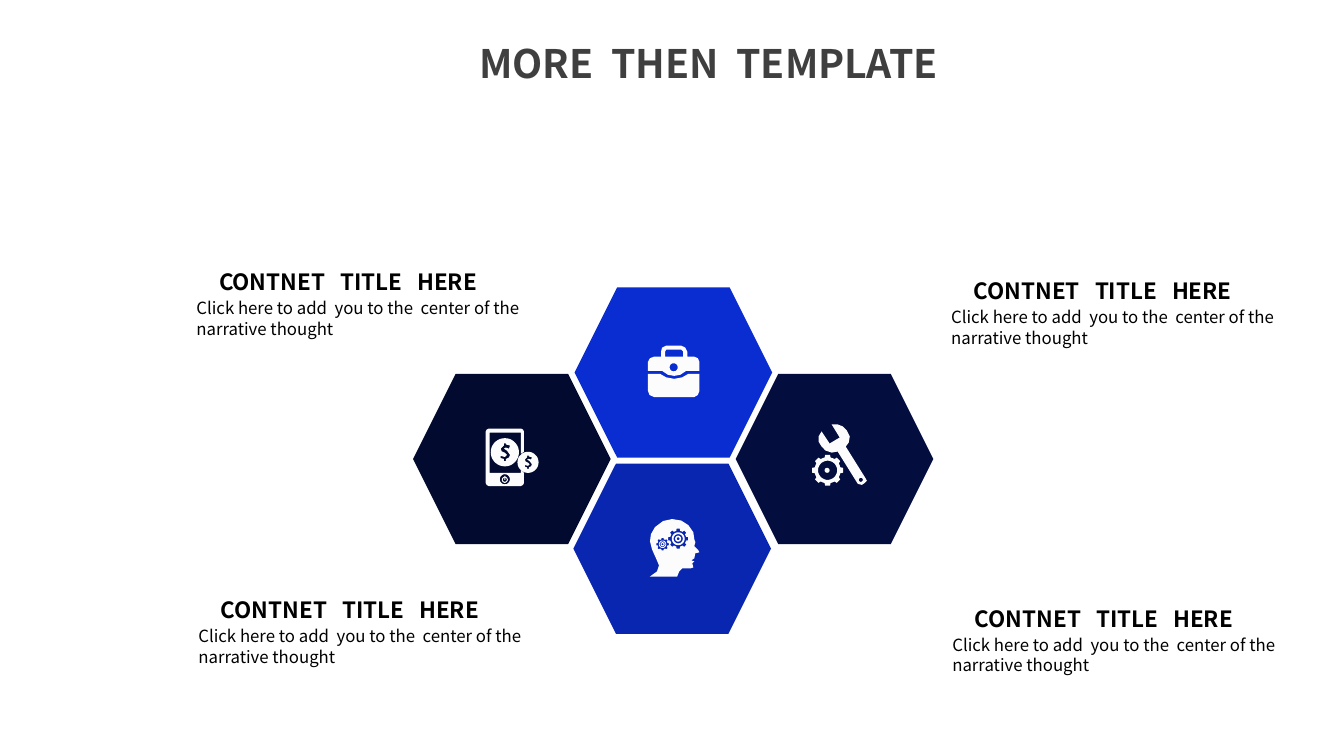
from math import cos, pi, sin

from pptx import Presentation
from pptx.dml.color import RGBColor
from pptx.enum.shapes import MSO_SHAPE
from pptx.util import Cm, Pt

HEXAGON, OVAL, RECT = MSO_SHAPE.HEXAGON, MSO_SHAPE.OVAL, MSO_SHAPE.RECTANGLE

THEME = {
    "font": "Noto Sans CJK SC",
    "title": "3F3F3F", "text": "000000", "icon": "FCFCFC",
    "title_size": 28, "head_size": 16, "body_size": 12,
}

TITLE = "MORE THEN TEMPLATE"
HEAD = "CONTNET TITLE HERE"
BODY = ["Click here to add  you to the  center of the", "narrative thought"]
NOTES = [(4.7, 6.35), (4.75, 14.61), (23.72, 6.58), (23.75, 14.83)]

# left, top, fill
CELLS = [
    (14.48, 7.24, "0A2DD2"),
    (18.54, 9.42, "030D3E"),
    (14.45, 11.68, "0926B1"),
    (10.41, 9.42, "020A2F"),
]

# Icon outlines use a fine grid whose step is UNIT centimetres.
UNIT = 0.0254
WRENCH = [
    (54, 55), (34, 23), (37, 19), (38, 13), (35, 7), (31, 3), (26, 1),
    (20, 1), (28, 14), (18, 20), (10, 8), (7, 13), (7, 18), (10, 23),
    (14, 27), (20, 29), (26, 28), (46, 60), (50, 61), (53, 59), (55, 57),
]
FACE = [
    (48, 31), (44, 27), (45, 23), (44, 20), (43, 13), (38, 6), (31, 1.5),
    (22, 0), (13, 2), (5, 8), (1, 15), (0, 22), (2, 30), (6, 39), (9, 46),
    (7, 52), (0, 57), (27, 57), (29, 52), (32, 49), (40, 49), (43, 48),
    (42, 44), (44, 42), (41, 41), (44, 39), (45, 34), (49, 33),
]
POUCH = [
    (0, 28), (12, 28), (18, 31.5), (26, 33), (34, 31.5), (40, 28), (51, 28),
    (51, 45), (49.5, 49), (46, 51), (6, 51), (1.5, 49), (0, 45),
]
FLAP = [
    (46, 11), (39, 11), (39, 6), (37, 2), (33, 0), (18, 0), (14, 2), (13, 6),
    (13, 11), (6, 11), (2, 12.5), (0, 16), (0, 25), (14, 25), (20, 29),
    (26, 30), (32, 29), (38, 25), (51, 25), (51, 16), (49.5, 12.5),
]
GRIP = [(17, 11), (17, 6), (18, 4), (33, 4), (35, 6), (35, 11)]
PHONE = [
    (35, 44), (4, 44), (4, 4), (35, 4), (35, 25), (38, 23), (38, 3), (37, 1),
    (35, 0), (3, 0), (1, 1), (0, 3), (0, 54), (1, 56), (3, 57), (35, 57),
    (37, 56), (38, 54), (38, 44), (35, 41),
]
DOLLAR = [
    (1, 6.5), (1, 8.5), (-1, 8.5), (-1, 6.5), (-4, 5.5), (-4, 3.5), (0, 4.5),
    (2, 2.5), (0, 0.5), (-3, -1), (-4, -3.5), (-1, -6.5), (-1, -8.5),
    (1, -8.5), (1, -7.5), (5, -6.5), (4, -3.5), (1, -4.5), (-1, -3.5),
    (2, -1.5), (5, 2.5), (4, 5),
]


def polar(x, y, r, turn):
    return x + r * cos(2 * pi * turn), y + r * sin(2 * pi * turn)


def disc(x, y, r, count=36):
    return [polar(x, y, r, i / count) for i in range(count)]


def ring(x, y, outer, inner):
    return [disc(x, y, outer), disc(x, y, inner)]


def cog(x, y, outer, root, teeth=8):
    """Outline of a toothed wheel."""
    return [polar(x, y, r, (i + shift) / teeth)
            for i in range(teeth)
            for shift, r in ((-0.3, root), (-0.2, outer), (0.2, outer),
                             (0.3, root), (0.5, root))]


def coin(x, y, r):
    size = r / 13.5
    return [disc(x, y, r), [(x + a * size, y + b * size) for a, b in DOLLAR]]


# left, top, parts (outline then holes), preset shapes
ICONS = [
    (20.45, 10.67,
     [[WRENCH, disc(49, 56, 2)],
      [cog(16, 46.5, 15.5, 13), disc(16, 46.5, 9.5)]],
     [(OVAL, 13, 44, 5, 5)]),
    (16.38, 13.08,
     [ring(12.5, 25, 3.7, 2.8), ring(28, 19.5, 3, 1.4),
      ring(12.5, 25, 2, 1), ring(28, 19.5, 6.4, 4.6),
      [FACE, cog(12.5, 25, 6.3, 5), cog(28, 19.5, 10, 8)]],
     []),
    (16.33, 8.71, [[POUCH], [FLAP, GRIP, disc(25.5, 21.5, 4)]], []),
    (12.24, 10.8,
     [ring(19, 50.8, 3, 2), coin(19, 23.5, 14),
      [PHONE, disc(19, 50.3, 5)], coin(42, 33.5, 10.5)],
     [(RECT, 18.5, 47, 1, 4)]),
]


def paint(shape, color):
    shape.shadow.inherit = False
    shape.fill.solid()
    shape.fill.fore_color.rgb = RGBColor.from_string(color)
    shape.line.fill.background()


def draw(group, left, top, part):
    """Draw one outline with its holes; points are kept to a tenth of a step."""
    fine = [[(x * 10, y * 10) for x, y in path] for path in part]
    pen = group.shapes.build_freeform(*fine[0][0], scale=Cm(UNIT) / 10)
    for i, path in enumerate(fine):
        if i:
            pen.move_to(*path[0])
        pen.add_line_segments(path[1:], close=True)
    paint(pen.convert_to_shape(Cm(left), Cm(top)), THEME["icon"])


def add_run(para, text, size, color, bold=False):
    run = para.add_run()
    run.text = text
    font = run.font
    font.name, font.size, font.bold = THEME["font"], Pt(size), bold
    font.color.rgb = RGBColor.from_string(color)
    return run


def add_head(para, text, size, color, gap, indent):
    """Bold line with a set left indent and extra points between words."""
    para._p.get_or_add_pPr().set("marL", str(Cm(indent)))
    for i, word in enumerate(text.split()):
        if i:
            space = add_run(para, " ", size, color, True)
            space.font._element.set("spc", str(round(gap * 100)))
        add_run(para, word, size, color, True)


def add_box(slide, left, top, width, height):
    box = slide.shapes.add_textbox(Cm(left), Cm(top), Cm(width), Cm(height))
    box.text_frame.word_wrap = True
    return box.text_frame


def main():
    deck = Presentation()
    deck.slide_width, deck.slide_height = Cm(33.87), Cm(19.05)
    slide = deck.slides.add_slide(deck.slide_layouts[6])

    para = add_box(slide, 11.33, 0.69, 13.67, 1.63).paragraphs[0]
    para.line_spacing = Pt(38.6)
    add_head(para, TITLE, THEME["title_size"], THEME["title"], 6.3, 0.5)

    for left, top, color in CELLS:
        cell = slide.shapes.add_shape(
            HEXAGON, Cm(left), Cm(top), Cm(4.98), Cm(4.29))
        cell.adjustments[0] = 0.25
        cell.rotation = 180
        paint(cell, color)

    for left, top, parts, presets in ICONS:
        group = slide.shapes.add_group_shape()
        for part in parts:
            draw(group, left, top, part)
        for kind, x, y, wide, high in presets:
            paint(group.shapes.add_shape(
                kind, Cm(left + x * UNIT), Cm(top + y * UNIT),
                Cm(wide * UNIT), Cm(high * UNIT)), THEME["icon"])

    for left, top in NOTES:
        frame = add_box(slide, left, top, 9.4, 2.31)
        para = frame.paragraphs[0]
        para.line_spacing, para.space_after = Pt(27.3), Pt(1.9)
        add_head(para, HEAD, THEME["head_size"], THEME["text"], 7.2, 0.57)
        for line in BODY:
            para = frame.add_paragraph()
            para.line_spacing = Pt(14.6)
            add_run(para, line, THEME["body_size"], THEME["text"])

    deck.save("out.pptx")


if __name__ == "__main__":
    main()
